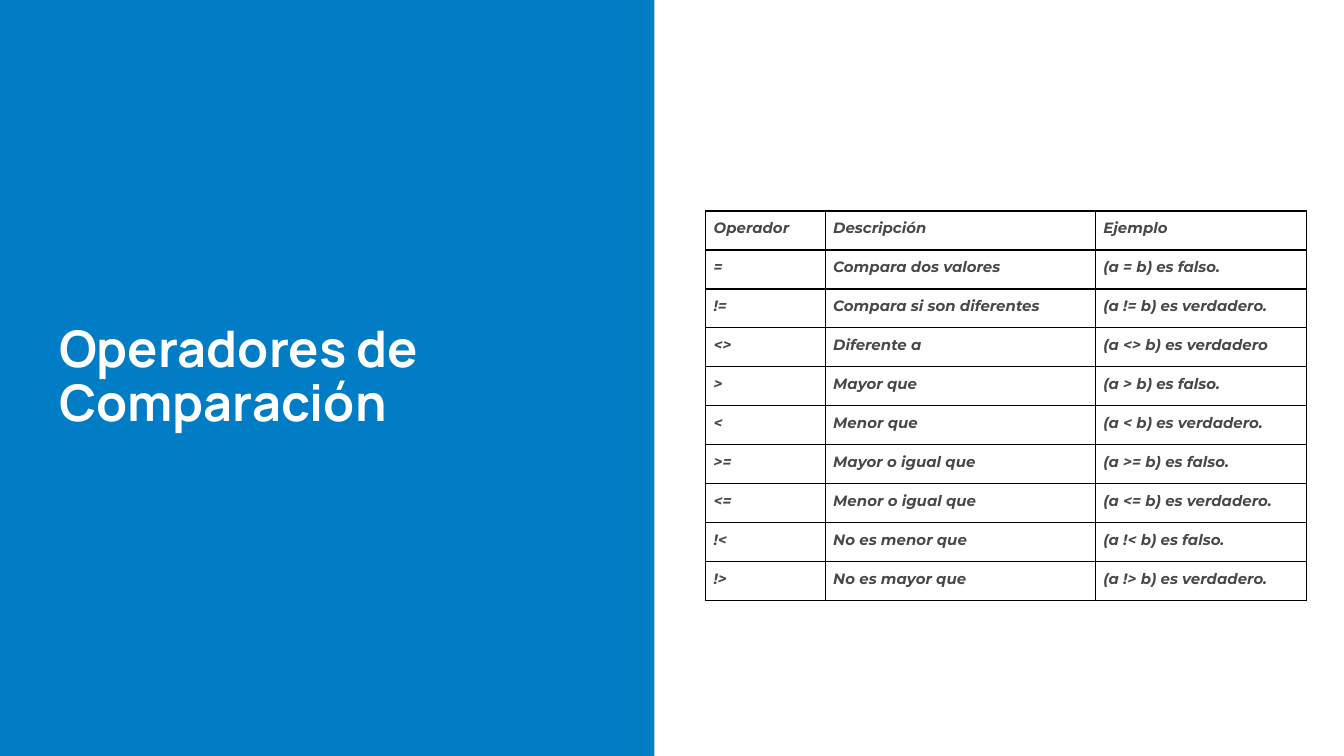
from lxml.etree import SubElement
from pptx import Presentation
from pptx.dml.color import RGBColor
from pptx.enum.shapes import MSO_SHAPE as Shape
from pptx.enum.text import MSO_ANCHOR as Anchor, MSO_AUTO_SIZE as AutoSize, PP_ALIGN as Align
from pptx.oxml.ns import qn
from pptx.util import Inches, Pt

TITLE = "Operadores de Comparación"
ROWS = [
    ("Operador", "Descripción", "Ejemplo"),
    ("=", "Compara dos valores", "(a = b) es falso."),
    ("!=", "Compara si son diferentes", "(a != b) es verdadero."),
    ("<>", "Diferente a", "(a <> b) es verdadero"),
    (">", "Mayor que", "(a > b) es falso."),
    ("<", "Menor que", "(a < b) es verdadero."),
    (">=", "Mayor o igual que", "(a >= b) es falso."),
    ("<=", "Menor o igual que", "(a <= b) es verdadero."),
    ("!<", "No es menor que", "(a !< b) es falso."),
    ("!>", "No es mayor que", "(a !> b) es verdadero."),
]
COLORS = {"panel": "007DC4", "white": "FFFFFF", "text": "4A474B", "border": "000000"}
SLIDE_SIZE = {"slide_width": Inches(10), "slide_height": Inches(10 * 9 / 16)}
COLUMN_WIDTHS = [0.89, 2.01, 1.57]
ROW_HEIGHT = 0.29
SIDES = ("left", "top", "right", "bottom")
TITLE_FONT = {"name": "Manrope", "size": Pt(27), "bold": True}
CELL_FONT = {"name": "Montserrat", "size": Pt(8), "bold": True, "italic": True}
TITLE_FRAME = {
    "word_wrap": True,
    "auto_size": AutoSize.NONE,
    "vertical_anchor": Anchor.MIDDLE,
}


def set_all(target, values):
    for name, value in values.items():
        setattr(target, name, value)


def margins(*sizes):
    return {f"margin_{side}": Inches(size) for side, size in zip(SIDES, sizes)}


def paint(fill, color):
    fill.solid()
    fill.fore_color.rgb = RGBColor.from_string(COLORS[color])


def format_paragraph(paragraph, font, color, alignment):
    paragraph.alignment = alignment
    set_all(paragraph.runs[0].font, font)
    paragraph.runs[0].font.color.rgb = RGBColor.from_string(COLORS[color])


def add_borders(cell):
    properties = cell._tc.get_or_add_tcPr()
    for tag in ("a:lnL", "a:lnR", "a:lnT", "a:lnB"):
        line = SubElement(properties, qn(tag), w=str(Pt(0.75)))
        fill = SubElement(line, qn("a:solidFill"))
        SubElement(fill, qn("a:srgbClr"), val=COLORS["border"])


def add_title(slide):
    title = slide.shapes.title
    set_all(title, {"left": Inches(0.37), "top": Inches(2.39),
                    "width": Inches(4.13), "height": Inches(0.85)})
    title.text_frame.text = TITLE
    set_all(title.text_frame, TITLE_FRAME | margins(0.07, 0.04, 0.07, 0.04))
    paragraph = title.text_frame.paragraphs[0]
    paragraph.line_spacing = 0.9
    format_paragraph(paragraph, TITLE_FONT, "white", Align.LEFT)
    return title


def add_panel(slide, title, height):
    panel = slide.shapes.add_shape(Shape.RECTANGLE, 0, 0, Inches(4.87), height)
    panel.shadow.inherit = False
    paint(panel.fill, "panel")
    panel.line.fill.background()
    title.element.addprevious(panel.element)


def add_operator_table(slide):
    table = slide.shapes.add_table(
        len(ROWS), len(COLUMN_WIDTHS), Inches(5.25), Inches(1.57),
        Inches(sum(COLUMN_WIDTHS)), Inches(ROW_HEIGHT * len(ROWS))).table
    for column, width in zip(table.columns, COLUMN_WIDTHS):
        column.width = Inches(width)
    for row, texts in zip(table.rows, ROWS):
        row.height = Inches(ROW_HEIGHT)
        for cell, text in zip(row.cells, texts):
            cell.text = text
            set_all(cell, margins(0.06, 0.06, 0.06, 0.06))
            format_paragraph(cell.text_frame.paragraphs[0], CELL_FONT, "text", Align.JUSTIFY)
            add_borders(cell)
            paint(cell.fill, "white")


def main():
    presentation = Presentation()
    set_all(presentation, SLIDE_SIZE)
    slide = presentation.slides.add_slide(presentation.slide_layouts.get_by_name("Title Only"))
    paint(slide.background.fill, "white")
    title = add_title(slide)
    add_panel(slide, title, presentation.slide_height)
    add_operator_table(slide)
    presentation.save("out.pptx")


if __name__ == "__main__":
    main()
